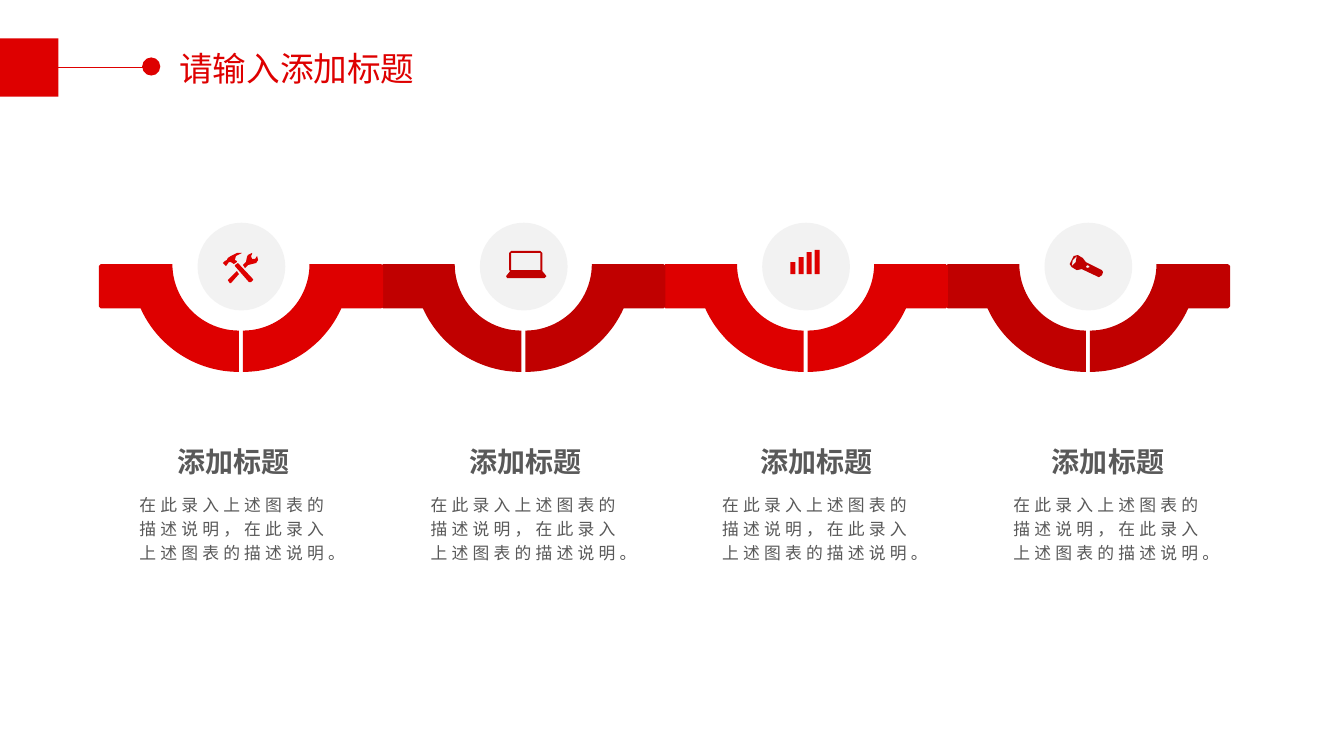
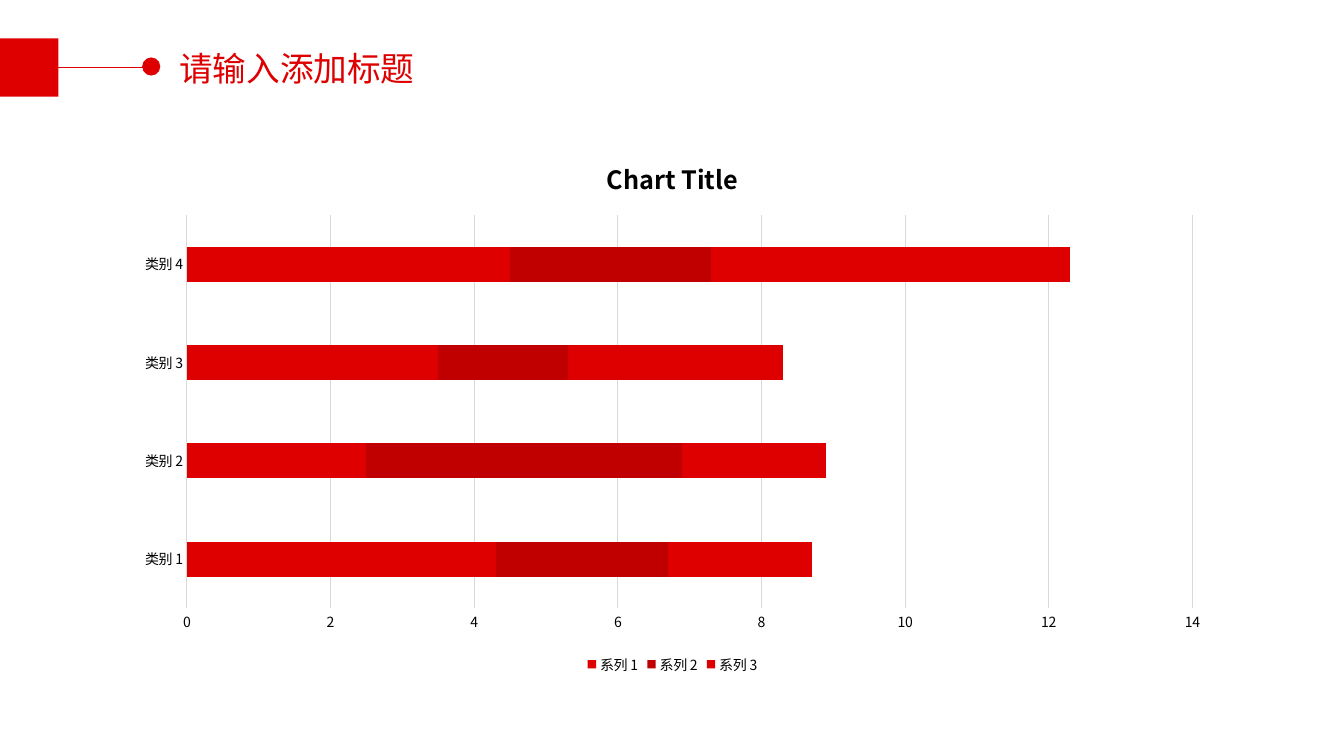
import math
from lxml import etree
from pptx import Presentation
from pptx.chart.data import CategoryChartData
from pptx.dml.color import RGBColor
from pptx.enum import chart as ch, shapes, text
from pptx.oxml.ns import qn
from pptx.util import Inches, Pt

RED, DARK, GREY, DISC, GRID = "DE0000", "C00000", "595959", "F2F2F2", "D9D9D9"
FONT = "Noto Sans CJK SC"
SHAPE = shapes.MSO_SHAPE
ALIGN = text.PP_ALIGN

# Icon outlines in hundredths of an inch; a contour inside another is a hole
TOOLS = [
    [(5, 27), (7, 30), (8, 30), (16, 21), (14, 18)],
    [(34, 3), (32, 6), (29, 6), (28, 3), (29, 1), (29, 0), (25, 2), (24, 4),
     (23, 9), (20, 12), (22, 15), (25, 12), (29, 11), (33, 10), (35, 7)],
    [(15, 10), (12, 12), (12, 13), (26, 29), (28, 29), (30, 27), (30, 26)],
    [(6, 9), (8, 9), (11, 11), (14, 9), (14, 8), (12, 7), (13, 3), (19, 0),
     (14, 0), (8, 3), (5, 5), (4, 7), (2, 8), (0, 10), (3, 13), (4, 12)],
]
LAPTOP = [
    [(0, 25), (1, 27), (38, 27), (40, 25), (36, 20), (36, 2), (34, 0),
     (5, 0), (3, 2), (3, 19), (4, 20)],
    [(34, 19), (5, 19), (5, 2), (34, 2)],
]
TORCH = [
    [(2, 6), (4, 2), (8, 1), (13, 4), (16, 8), (32, 16), (33, 18), (32, 21),
     (29, 23), (12, 15), (7, 16), (2, 13), (0, 10)],
    [(6, 8), (7, 2), (3, 6), (2, 12)],
    [(20, 13), (18, 11), (16, 12), (17, 14)],
]


def rgb(value):
    return RGBColor.from_string(value)


def paint(sp, color):
    sp.shadow.inherit = False
    sp.fill.solid()
    sp.fill.fore_color.rgb = rgb(color)
    sp.line.fill.background()


def add_block(s, kind, left, top, width, height, color):
    sp = s.shapes.add_shape(kind, Inches(left), Inches(top), Inches(width), Inches(height))
    paint(sp, color)


def add_outline(s, left, top, contours, color):
    """Draw closed contours, given in inches from (left, top)."""
    def emu(points):
        return [(x * Inches(1), y * Inches(1)) for x, y in points]

    first, *others = [emu(points) for points in contours]
    builder = s.shapes.build_freeform(*first[0])
    builder.add_line_segments(first[1:], close=True)
    for points in others:
        builder.move_to(*points[0])
        builder.add_line_segments(points[1:], close=True)
    paint(builder.convert_to_shape(Inches(left), Inches(top)), color)


def style_font(font, size, color, bold=None):
    font.name, font.size, font.bold = FONT, Pt(size), bold
    font.color.rgb = rgb(color)
    etree.SubElement(font._rPr, qn("a:ea")).set("typeface", FONT)


def add_text(s, left, top, width, height, words, size, color,
             align=ALIGN.CENTER, bold=None, line_spacing=None, tracking=None):
    sp = s.shapes.add_textbox(Inches(left), Inches(top), Inches(width), Inches(height))
    tf = sp.text_frame
    tf.word_wrap = True
    p = tf.paragraphs[0]
    p.text, p.alignment = words, align
    style_font(p.font, size, color, bold)
    if line_spacing:
        p.line_spacing = line_spacing
    if tracking:
        p.runs[0].font._rPr.set("spc", str(tracking * 100))


def add_header(s, title):
    # Line, dot, title and square at the slide's left edge
    line = s.shapes.add_connector(shapes.MSO_CONNECTOR.STRAIGHT, 0, Inches(0.67),
                                  Inches(1.48), Inches(0.67))
    line.line.color.rgb = rgb(RED)
    line.line.width = Pt(1)
    etree.SubElement(line._element.spPr, qn("a:effectLst"))
    add_block(s, SHAPE.OVAL, 1.41, 0.57, 0.18, 0.18, RED)
    add_text(s, 1.68, 0.43, 3.32, 0.5, title, 24, RED, ALIGN.JUSTIFY)
    add_block(s, SHAPE.RECTANGLE, 0, 0.38, 0.58, 0.58, RED)


def arc(radius, start, end, steps=24):
    angles = [math.radians(start + (end - start) * i / steps) for i in range(steps + 1)]
    return [(radius * math.cos(a), radius * math.sin(a)) for a in angles]


def add_link(s, left, top, color):
    """A band 2.82 wide that dips round a half ring, split in the middle."""
    reach, thick, inner, outer, round_off = 1.39, 0.44, 0.66, 1.07, 0.02
    bend = math.degrees(math.asin(thick / outer))
    half = (arc(inner, 0, 90) + arc(outer, 90, bend)
            + [(reach - round_off, thick), (reach, thick - round_off),
               (reach, round_off), (reach - round_off, 0)])
    for side, seam in ((-1, reach), (1, reach + 0.04)):
        add_outline(s, left + seam, top, [[(side * x, y) for x, y in half]], color)


def add_icon(s, left, top, contours, color):
    add_outline(s, left, top, [[(x / 100, y / 100) for x, y in points]
                               for points in contours], color)


def add_bars_icon(s, left, top, color):
    for i, height in enumerate((0.12, 0.17, 0.22, 0.24)):
        add_block(s, SHAPE.RECTANGLE, left + 0.08 * i, top + 0.24 - height, 0.05, height, color)


def add_caption(s, left, top, title, body):
    add_text(s, left + 0.23, top, 1.7, 0.44, title, 20, GREY, bold=True)
    add_text(s, left, top + 0.46, 2.16, 1.07, body, 12, GREY, line_spacing=1.2, tracking=3)


def add_chain(s, left, top, pitch=2.8):
    # Bands from right to left, so that each overlaps its right neighbour
    colors = [RED, DARK, RED, DARK]
    for i in reversed(range(4)):
        add_link(s, left + pitch * i, top + 0.41, colors[i])
    # Discs with their icons
    discs = [left + 0.98 + pitch * i for i in range(4)]
    for x in discs:
        add_block(s, SHAPE.OVAL, x, top, 0.87, 0.87, DISC)
    add_icon(s, discs[0] + 0.25, top + 0.3, TOOLS, RED)
    add_icon(s, discs[1] + 0.26, top + 0.28, LAPTOP, DARK)
    add_bars_icon(s, discs[2] + 0.28, top + 0.27, RED)
    add_icon(s, discs[3] + 0.25, top + 0.31, TORCH, DARK)


def add_stacked_bars(s, left, top, width, height):
    data = CategoryChartData()
    data.categories = [f"类别 {i}" for i in range(1, 5)]
    rows = [(4.3, 2.5, 3.5, 4.5), (2.4, 4.4, 1.8, 2.8), (2, 2, 3, 5)]
    for i, values in enumerate(rows, 1):
        data.add_series(f"系列 {i}", values)
    chart = s.shapes.add_chart(ch.XL_CHART_TYPE.BAR_STACKED, Inches(left), Inches(top),
                               Inches(width), Inches(height), data).chart
    style_font(chart.font, 10, "000000")

    # Title and legend
    chart.has_title = True
    p = chart.chart_title.text_frame.paragraphs[0]
    p.text = "Chart Title"
    style_font(p.font, 18, "000000", True)
    chart.has_legend = True
    chart.legend.position = ch.XL_LEGEND_POSITION.BOTTOM
    chart.legend.include_in_layout = False

    # Bars
    plot = chart.plots[0]
    plot.gap_width, plot.overlap, plot.vary_by_categories = 182, 100, False
    for series, color in zip(plot.series, (RED, DARK, RED)):
        series.format.fill.solid()
        series.format.fill.fore_color.rgb = rgb(color)

    # Axes
    cat, val = chart.category_axis, chart.value_axis
    for axis in (cat, val):
        axis.major_tick_mark = axis.minor_tick_mark = ch.XL_TICK_MARK.NONE
    val.format.line.fill.background()
    val.has_major_gridlines = True
    for line in (cat.format.line, val.major_gridlines.format.line):
        line.color.rgb = rgb(GRID)
        line.width = Pt(0.75)


def new_slide(prs):
    s = prs.slides.add_slide(prs.slide_layouts[6])
    add_header(s, "请输入添加标题")
    return s


def build_chain_slide(prs):
    s = new_slide(prs)
    add_chain(s, 0.98, 2.21)
    for i in range(4):
        add_caption(s, 1.24 + 2.89 * i, 4.36, "添加标题",
                    "在此录入上述图表的描述说明，在此录入上述图表的描述说明。")


def build_chart_slide(prs):
    add_stacked_bars(new_slide(prs), 1.22, 1.35, 10.9, 5.38)


prs = Presentation()
prs.slide_width, prs.slide_height = Inches(13.33), Inches(7.5)
build_chain_slide(prs)
build_chart_slide(prs)
prs.save("out.pptx")
